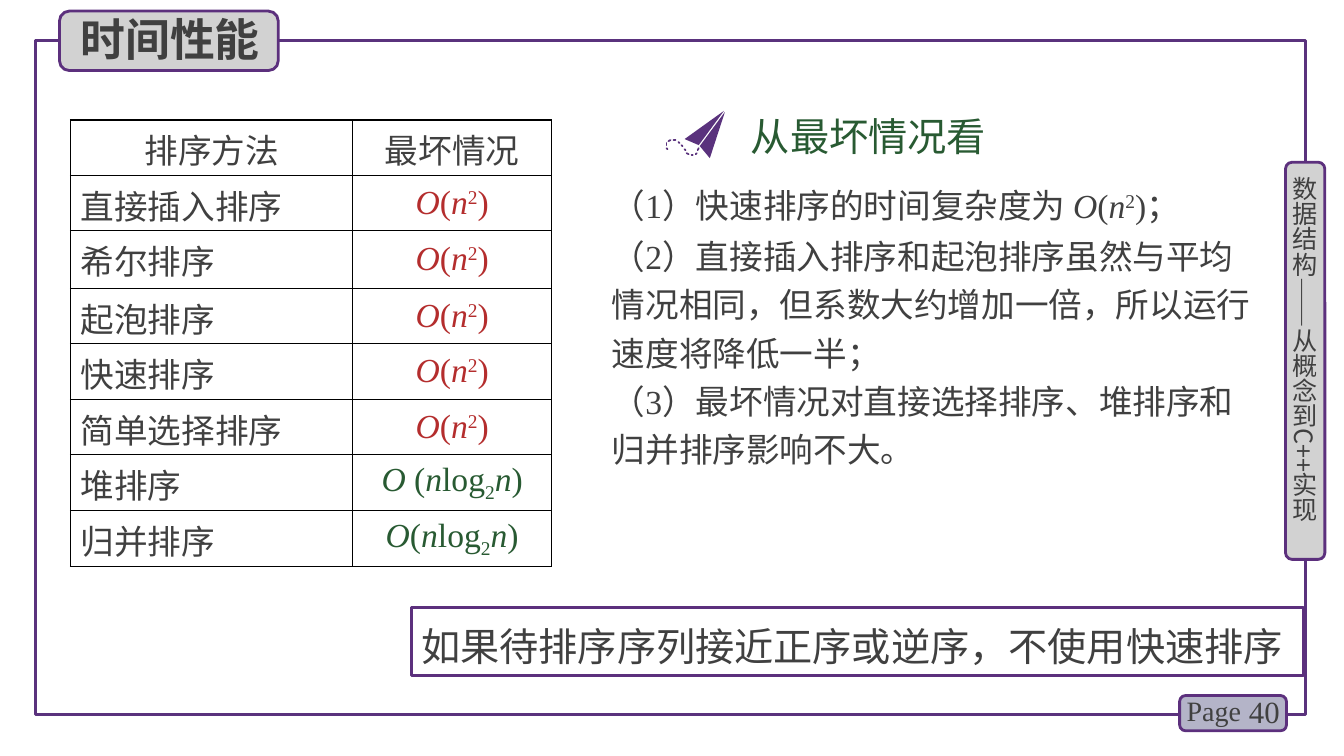
from lxml import etree
from pptx import Presentation
from pptx.dml.color import RGBColor
from pptx.enum.shapes import MSO_CONNECTOR, MSO_SHAPE
from pptx.enum.text import MSO_ANCHOR, MSO_AUTO_SIZE, PP_ALIGN
from pptx.oxml.ns import qn
from pptx.util import Inches, Pt

RECT, ROUND = MSO_SHAPE.RECTANGLE, MSO_SHAPE.ROUNDED_RECTANGLE
STRAIGHT = MSO_CONNECTOR.STRAIGHT
TOP, MIDDLE = MSO_ANCHOR.TOP, MSO_ANCHOR.MIDDLE
LEFT, CENTER, RIGHT, JUSTIFY = PP_ALIGN.LEFT, PP_ALIGN.CENTER, PP_ALIGN.RIGHT, PP_ALIGN.JUSTIFY
GROW = MSO_AUTO_SIZE.SHAPE_TO_FIT_TEXT
SERIF, SANS = "Times New Roman", "Noto Sans CJK SC"
COLORS = {
    "text": "404040", "red": "B42D2D", "green": "285A32", "frame": "5A327D",
    "edge": "5C307D", "gray": "D2D2D2", "lilac": "B4B4C8", "black": "000000",
}
SQUARE = [("O", "i"), ("(", ""), ("n", "i"), ("2", "sup"), (")", "")]
LOG = [("(", ""), ("n", "i"), ("log", ""), ("2", "sub"), ("n", "i"), (")", "")]
BASE = {"sup": "30000", "sub": "-25000"}
ROWS = [
    ("直接插入排序", SQUARE, "red"),
    ("希尔排序", SQUARE, "red"),
    ("起泡排序", SQUARE, "red"),
    ("快速排序", SQUARE, "red"),
    ("简单选择排序", SQUARE, "red"),
    ("堆排序", [("O ", "i")] + LOG, "green"),
    ("归并排序", [("O", "i")] + LOG, "green"),
]
WINGS = [
    [(7.19, 1.11), (7.04, 1.57), (6.94, 1.45)],
    [(7.18, 1.1), (6.93, 1.44), (6.79, 1.38)],
]
TRAIL = [
    (6.93, 1.47, 6.92, 1.49), (6.91, 1.52, 6.9, 1.53), (6.87, 1.54, 6.86, 1.54),
    (6.83, 1.53, 6.81, 1.52), (6.8, 1.49, 6.79, 1.48), (6.77, 1.45, 6.76, 1.44),
    (6.74, 1.42, 6.73, 1.41), (6.7, 1.39, 6.68, 1.39), (6.65, 1.39, 6.63, 1.4),
    (6.61, 1.42, 6.61, 1.44), (6.61, 1.47, 6.62, 1.48),
]


def color(name):
    """Return the named colour."""
    return RGBColor.from_string(COLORS[name])


def write(para, runs, size, tint="text", face=SERIF, bold=False):
    """Add styled runs to a paragraph."""
    for text, style in runs:
        run = para.add_run()
        run.text = text
        font = run.font
        font.name, font.size, font.bold = face, Pt(size), bold
        font.italic = style == "i"
        font.color.rgb = color(tint)
        props = font._element
        etree.SubElement(props, qn("a:ea")).set("typeface", SANS)
        if style in BASE:
            props.set("baseline", BASE[style])


def label(slide, box, runs, size, align=LEFT, anchor=TOP, space=1.0,
          wrap=True, **look):
    """Add a text box and return its frame."""
    frame = slide.shapes.add_textbox(*map(Inches, box)).text_frame
    frame.word_wrap = wrap
    frame.vertical_anchor = anchor
    frame.auto_size = GROW
    para = frame.paragraphs[0]
    para.alignment, para.line_spacing = align, space
    write(para, runs, size, **look)
    return frame


def panel(slide, kind, box, width, fill=None, edge="edge"):
    """Add an outlined shape."""
    shape = slide.shapes.add_shape(kind, *map(Inches, box))
    shape.shadow.inherit = False
    shape.line.color.rgb = color(edge)
    shape.line.width = Pt(width)
    if fill:
        shape.fill.solid()
        shape.fill.fore_color.rgb = color(fill)
    else:
        shape.fill.background()


def plane(slide):
    """Draw the paper plane with its dashed trail."""
    for first, *rest in WINGS:
        build = slide.shapes.build_freeform(*map(Inches, first), scale=1.0)
        build.add_line_segments([(Inches(x), Inches(y)) for x, y in rest])
        wing = build.convert_to_shape()
        wing.shadow.inherit = False
        wing.fill.solid()
        wing.fill.fore_color.rgb = color("frame")
        wing.line.fill.background()
    for ends in TRAIL:
        dash = slide.shapes.add_connector(STRAIGHT, *map(Inches, ends))
        dash.line.color.rgb = color("frame")
        dash.line.width = Pt(1.25)
        dash.line._ln.set("cap", "rnd")
        etree.SubElement(dash._element.spPr, qn("a:effectLst"))


def border(cell):
    """Give a cell thin black borders and no fill."""
    props = cell._tc.get_or_add_tcPr()
    for side in ("lnL", "lnR", "lnT", "lnB"):
        line = etree.SubElement(props, qn(f"a:{side}"), w=str(Pt(1)))
        fill = etree.SubElement(line, qn("a:solidFill"))
        etree.SubElement(fill, qn("a:srgbClr"), val=COLORS["black"])
    cell.fill.background()


def enter(cell, runs, align, tint="text"):
    """Fill one table cell."""
    border(cell)
    cell.vertical_anchor = MIDDLE
    para = cell.text_frame.paragraphs[0]
    para.alignment = align
    write(para, runs, 24, tint)


def grid(slide):
    """Add the table of worst cases."""
    box = map(Inches, (0.7, 1.19, 4.77, 4.43))
    table = slide.shapes.add_table(len(ROWS) + 1, 2, *box).table
    table.first_row = table.horz_banding = False
    for col, width in zip(table.columns, (2.8, 1.97)):
        col.width = Inches(width)
    for num, row in enumerate(table.rows):
        row.height = Inches(0.57 if num == 2 else 0.55)
    for num, text in enumerate(("排序方法", "最坏情况")):
        enter(table.cell(0, num), [(text, "")], CENTER)
    for num, (name, cost, tint) in enumerate(ROWS, 1):
        enter(table.cell(num, 0), [(name, "")], JUSTIFY)
        enter(table.cell(num, 1), cost, CENTER, tint)


def border_art(slide):
    """Add the frame, the page mark and the side tab."""
    panel(slide, RECT, (0.35, 0.4, 12.6, 6.69), 2.25, edge="frame")
    panel(slide, ROUND, (11.7, 6.9, 1.06, 0.35), 2, "lilac")
    label(slide, (12.2, 6.86, 0.59, 0.4), [("40", "")], 22, RIGHT, MIDDLE)
    label(slide, (11.67, 6.83, 0.78, 0.44), [("Page", "")], 20)
    panel(slide, ROUND, (12.75, 1.61, 0.39, 3.94), 2, "gray")
    side = label(slide, (12.79, 1.75, 0.3, 3.78),
                 [("数据结构——从概念到C++实现", "")], 18, face=SANS)
    side.margin_left = side.margin_right = side.margin_top = side.margin_bottom = 0
    side._txBody.bodyPr.set("vert", "eaVert")


def main():
    """Build the slide and save it."""
    deck = Presentation()
    deck.slide_width, deck.slide_height = Inches(13.33), Inches(7.5)
    slide = deck.slides.add_slide(deck.slide_layouts[6])
    border_art(slide)
    panel(slide, ROUND, (0.59, 0.11, 2.17, 0.59), 2, "gray")
    label(slide, (0.7, 0.07, 2.1, 0.64), [("时间性能", "")], 32, face=SANS, bold=True)
    grid(slide)
    plane(slide)
    label(slide, (7.35, 1.07, 2.56, 0.57), [("从最坏情况看", "")], 28,
          wrap=False, tint="green", face=SANS)
    first = [("（1）快速排序的时间复杂度为 ", "")] + SQUARE[:-1] + [(")；", "")]
    second = [("（2）直接插入排序和起泡排序虽然与平均情况相同，但系数大约增加一倍，所以运行速度将降低一半；", "")]
    third = [("（3）最坏情况对直接选择排序、堆排序和归并排序影响不大。", "")]
    for top, high, runs in ((1.71, 0.59, first), (2.21, 1.56, second), (3.65, 1.07, third)):
        label(slide, (5.97, top, 6.67, high), runs, 24, space=1.2)
    rule = (4.08, 6.03, 8.85, 0.67)
    panel(slide, RECT, rule, 2.25)
    label(slide, rule, [("如果待排序序列接近正序或逆序，不使用快速排序", "")], 28, space=1.2)
    deck.save("out.pptx")


if __name__ == "__main__":
    main()
